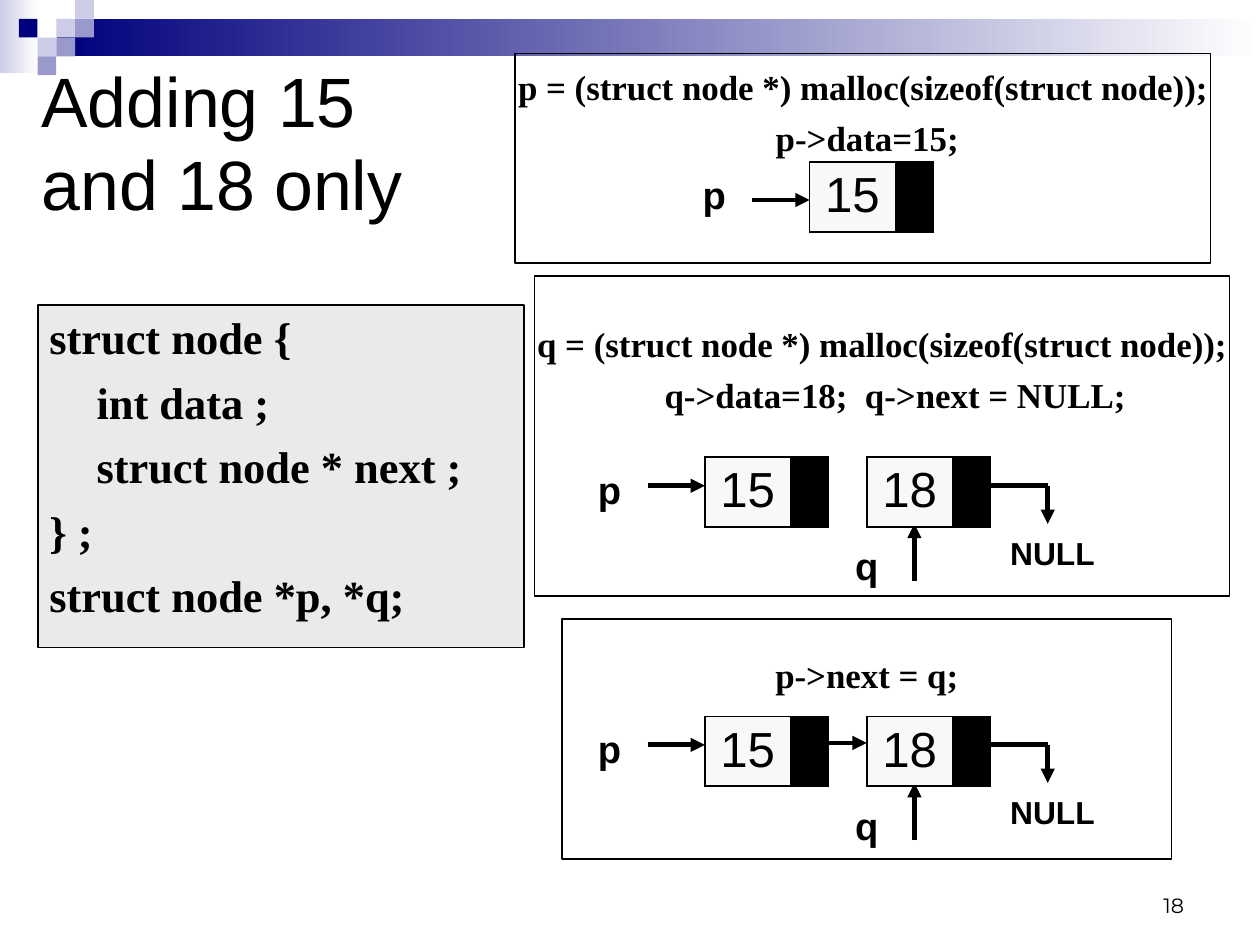
from dataclasses import dataclass

from lxml.etree import SubElement
from pptx import Presentation
from pptx.dml.color import RGBColor
from pptx.enum.shapes import MSO_CONNECTOR, MSO_SHAPE
from pptx.enum.text import MSO_ANCHOR as Anchor, MSO_AUTO_SIZE as AutoSize, PP_ALIGN as Align
from pptx.oxml import parse_xml
from pptx.oxml.ns import nsdecls, qn
from pptx.util import Cm, Emu, Inches, Pt


@dataclass(frozen=True)
class Theme:
    ink: str = "000000"
    paper: str = "FFFFFF"
    navy: str = "00007D"
    lavender: str = "CCCCE6"
    violet: str = "9999CC"
    code_fill: str = "EAEAEA"
    node_fill: str = "F8F8F8"
    sans: str = "Arial"
    serif: str = "Times New Roman"
    number_font: str = "Montserrat"
    title: int = 44
    node: int = 31
    code: int = 28
    pointer: int = 24
    statement: int = 22
    null: int = 20
    number: int = 13


def grid(cells):
    """Length of a number of grid cells, twelve to the inch."""
    return Emu(round(cells * Inches(1) / 12))


def color(code):
    return RGBColor.from_string(code)


def write(frame, text, *, size, font, ink, bold=False, align=Align.LEFT, anchor=Anchor.TOP,
          margins=(0, 0, 0, 0), wrap=True, gap=0, indent=0, indented=()):
    """Fill a text frame, one paragraph a line; margins are left, top, right, bottom."""
    frame.word_wrap = wrap
    frame.auto_size = AutoSize.NONE
    frame.vertical_anchor = anchor
    (frame.margin_left, frame.margin_top,
     frame.margin_right, frame.margin_bottom) = map(grid, margins)
    for index, line in enumerate(text.split("\n")):
        paragraph = frame.add_paragraph() if index else frame.paragraphs[0]
        if index in indented:
            paragraph._p.get_or_add_pPr().set("marL", str(grid(indent)))
        paragraph.text = line
        paragraph.alignment = align
        paragraph.space_before = Pt(gap if index else 0)
        paragraph.font.size = Pt(size)
        paragraph.font.name = font
        paragraph.font.bold = bold
        paragraph.font.color.rgb = color(ink)


class ListSlide:
    def __init__(self, deck, theme):
        self.theme = theme
        self.slide = deck.slides.add_slide(deck.slide_layouts[5])
        self.shapes = self.slide.shapes

    def title(self, text, box):
        heading = self.shapes.title
        heading.left, heading.top, heading.width, heading.height = map(grid, box)
        write(heading.text_frame, text, size=self.theme.title, font=self.theme.sans,
              ink=self.theme.ink, anchor=Anchor.MIDDLE, margins=(1.3, 0.7, 1.3, 0.7))

    def rect(self, box, fill=None, fade=False, outlined=False):
        shape = self.shapes.add_shape(MSO_SHAPE.RECTANGLE, *map(grid, box))
        shape.shadow.inherit = False
        if fade:
            shape.fill.gradient()
            shape.fill.gradient_angle = 0
            for stop, shade in zip(shape.fill.gradient_stops, (fill, self.theme.paper)):
                stop.color.rgb = color(shade)
            first, last = shape.fill.gradient_stops
            first.position, last.position = 0, 1
        elif fill:
            shape.fill.solid()
            shape.fill.fore_color.rgb = color(fill)
        else:
            shape.fill.background()
        if outlined:
            shape.line.color.rgb = color(self.theme.ink)
            shape.line.width = Pt(1)
        else:
            shape.line.fill.background()
        return shape

    def step(self, statements, box, drop):
        """Outlined panel whose statements start `drop` rows below its top."""
        panel = self.rect(box, outlined=True)
        write(panel.text_frame, statements, size=self.theme.statement, font=self.theme.serif,
              ink=self.theme.ink, bold=True, align=Align.CENTER, wrap=False,
              margins=(0, drop, 0, 0), gap=5.5)

    def code(self, text, box, indented):
        listing = self.rect(box, fill=self.theme.code_fill, outlined=True)
        write(listing.text_frame, text, size=self.theme.code, font=self.theme.serif,
              ink=self.theme.ink, bold=True, margins=(1.2, 0.6, 1.2, 0.6), gap=7,
              indent=4.95, indented=indented)

    def label(self, text, box, **style):
        look = dict(size=self.theme.pointer, font=self.theme.sans, ink=self.theme.ink,
                    bold=True, align=Align.CENTER)
        caption = self.shapes.add_textbox(*map(grid, box))
        write(caption.text_frame, text, **{**look, **style})

    def line(self, start, end, arrow=True):
        link = self.shapes.add_connector(MSO_CONNECTOR.STRAIGHT, *map(grid, start + end))
        link.line.color.rgb = color(self.theme.ink)
        link.line.width = Pt(3)
        properties = link.element.spPr
        if arrow:
            SubElement(properties.find(qn("a:ln")), qn("a:tailEnd"), type="triangle")
        SubElement(properties, qn("a:effectLst"))

    def node(self, value, left, top):
        """List node: a data cell and a black pointer cell."""
        widths = (9, 4)
        table = self.shapes.add_table(1, 2, *map(grid, (left, top, sum(widths), 7))).table
        table.first_row = table.horz_banding = False
        fills = (self.theme.node_fill, self.theme.ink)
        for index, (width, fill) in enumerate(zip(widths, fills)):
            table.columns[index].width = grid(width)
            cell = table.cell(0, index)
            cell.fill.solid()
            cell.fill.fore_color.rgb = color(fill)
            cell.margin_top, cell.margin_bottom = grid(0.65), grid(0.9)
            inner = "R" if index == 0 else "L"
            for position, side in enumerate("LRTB"):
                weight = 0.45 if side == inner else 1.08
                cell._tc.get_or_add_tcPr().insert(position, parse_xml(
                    f'<a:ln{side} {nsdecls("a")} w="{Pt(weight)}"><a:solidFill>'
                    f'<a:srgbClr val="{self.theme.ink}"/></a:solidFill></a:ln{side}>'))
        paragraph = table.cell(0, 0).text_frame.paragraphs[0]
        paragraph.text = value
        paragraph.alignment = Align.CENTER
        paragraph.font.size = Pt(self.theme.node)
        paragraph.font.name = self.theme.sans
        paragraph.font.color.rgb = color(self.theme.ink)

    def first_node(self, left, top, arrow_drop):
        """Node 15 with pointer p at its left."""
        self.label("p", (left - 14, top + 1, 8, 4.8))
        self.line((left - 6, top + arrow_drop), (left, top + arrow_drop))
        self.node("15", left, top)

    def both_nodes(self, top, linked):
        """Nodes 15 and 18 with pointers p and q and the closing NULL."""
        self.first_node(74, top, 3)
        self.line((96, top + 13), (96, top + 7))
        self.line((102, top + 3), (110, top + 3), arrow=False)
        self.line((110, top + 3), (110, top + 7))
        self.node("18", 91, top)
        self.label("q", (87, top + 9, 8, 4.8))
        self.label("NULL", (105, top + 8, 11, 4), size=self.theme.null)
        if linked:
            self.line((86, top + 2.8), (91, top + 2.8))

    def banner(self):
        theme, side = self.theme, 1.97
        self.rect((0, 0, 4, 7.7), theme.lavender, fade=True)
        self.rect((6, side, 126.3, 2 * side), theme.navy, fade=True)
        mosaic = {theme.lavender: [(3, 1), (4, 0), (2, 2)],
                  theme.violet: [(4, 1), (3, 2), (2, 3)],
                  theme.navy: [(1, 1)]}
        for fill, tiles in mosaic.items():
            for column, row in tiles:
                self.rect((column * side, row * side, side, side), fill)


def main():
    deck = Presentation()
    deck.slide_width, deck.slide_height = Cm(28), Cm(21)
    theme = Theme()
    page = ListSlide(deck, theme)
    page.banner()
    page.title("Adding 15 and 18 only", (3.05, 4, 47.2, 21.6))
    page.label("18", (94.8, 90.4, 30.8, 6.6), size=theme.number, font=theme.number_font,
               bold=False, align=Align.RIGHT, anchor=Anchor.BOTTOM,
               margins=(1.3, 0.7, 1.3, 0.7))
    page.code("struct node {\nint data ;\nstruct node * next ;\n} ;\nstruct node *p, *q;",
              (4, 32, 51, 36), indented=(1, 2))

    page.step("p = (struct node *) malloc(sizeof(struct node));\n p->data=15;",
              (54.1, 5.6, 73, 22), drop=1.3)
    page.first_node(85, 17, 4)

    page.step("q = (struct node *) malloc(sizeof(struct node));\n"
              "   q->data=18;  q->next = NULL;", (56.1, 29, 73, 33.6), drop=4.9)
    page.both_nodes(48, linked=False)

    page.step("p->next = q;", (59, 65, 64, 25.2), drop=3.6)
    page.both_nodes(75.2, linked=True)
    deck.save("out.pptx")


if __name__ == "__main__":
    main()
